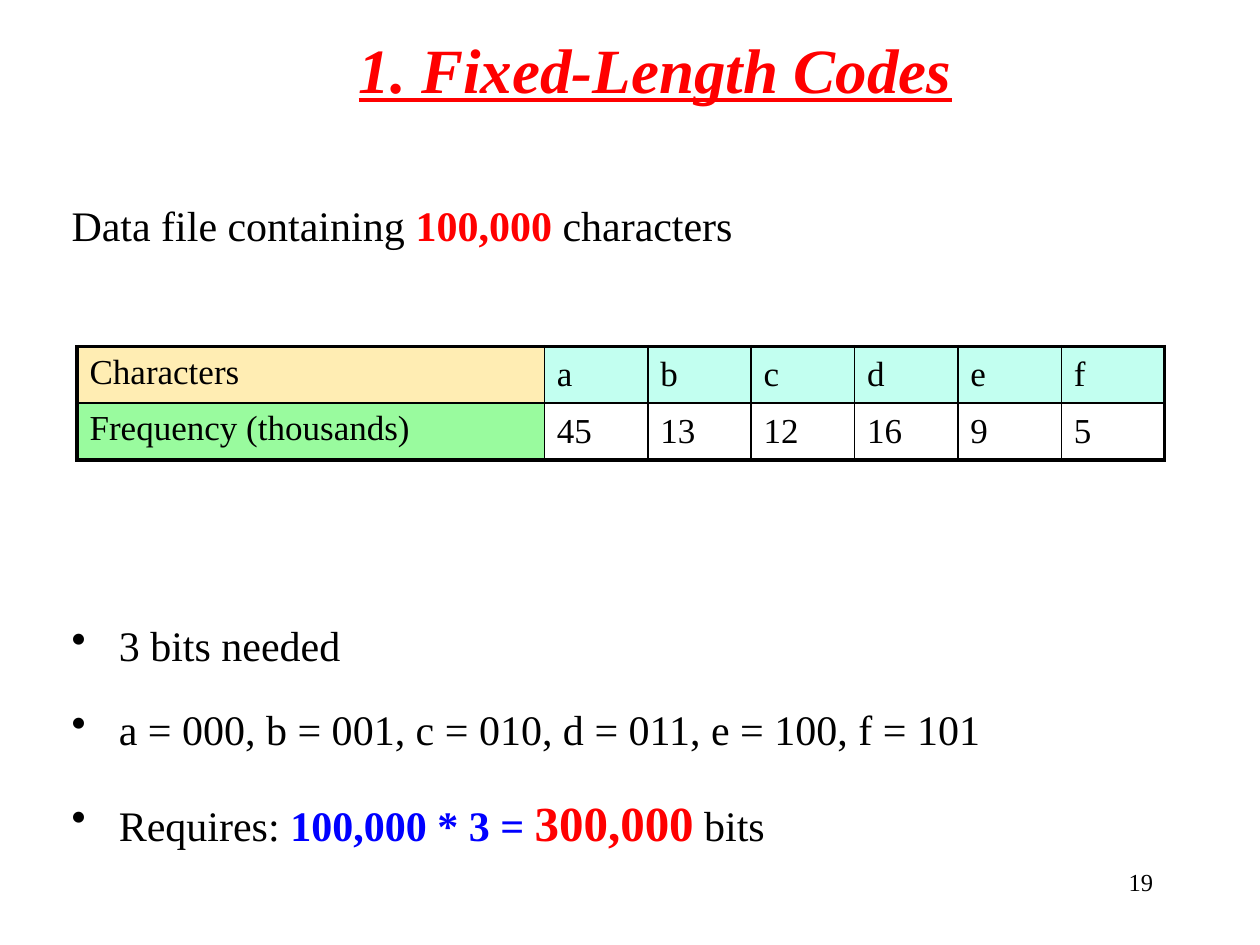
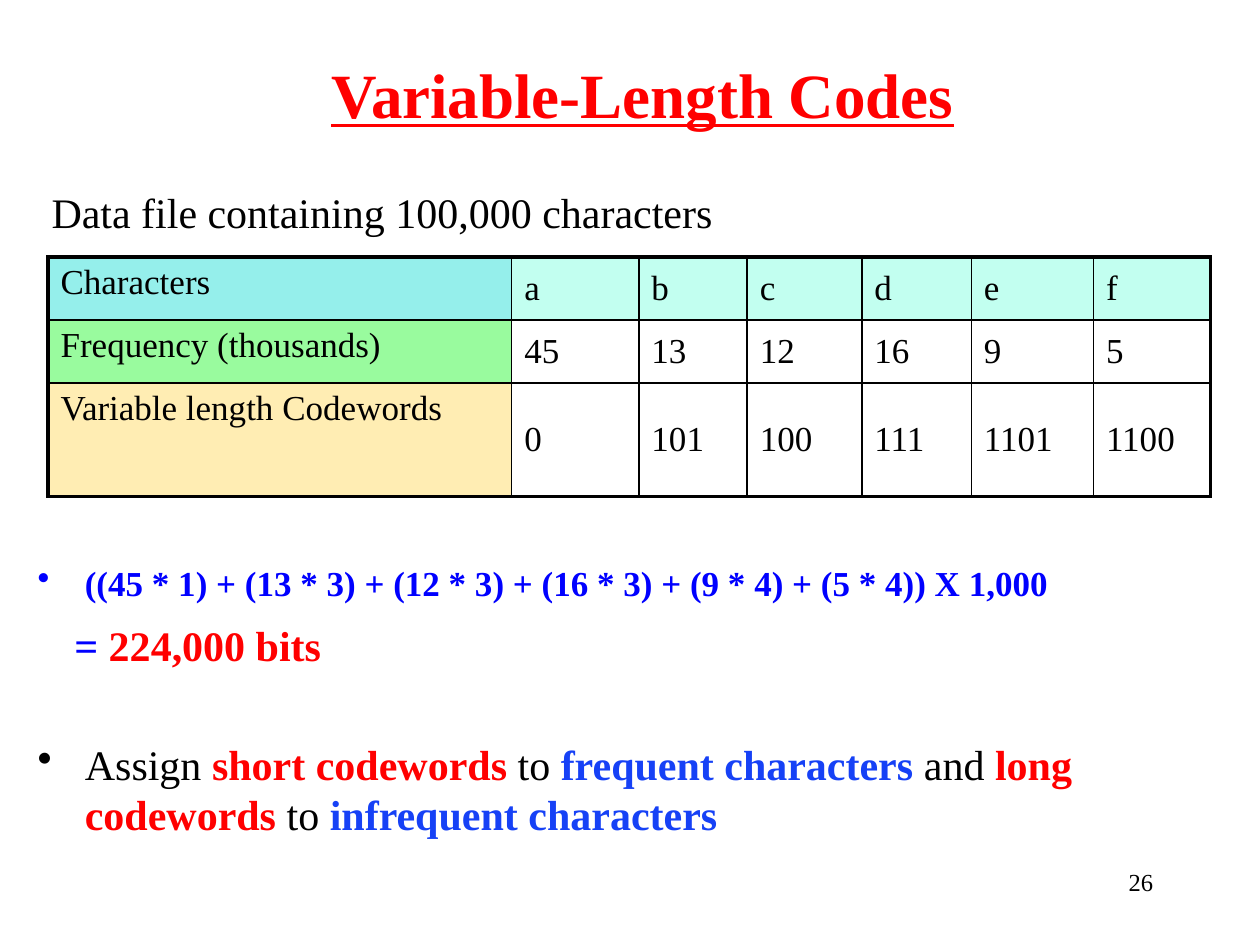
from lxml import etree
from pptx import Presentation
from pptx.dml.color import RGBColor
from pptx.enum import text as t
from pptx.oxml import ns
from pptx.util import Pt

FONT = "Times New Roman"
BLACK, RED, BLUE, ROYAL = "000000", "FF0000", "0000FF", "1641F6"
AQUA, TURQUOISE, GREEN, CREAM = "C2FFF0", "95EFEB", "99FB9E", "FFEDB3"
THICK, THIN = 2.25, 1
HANG = 27  # bullet indent


def rgb(value):
    return RGBColor.from_string(value)


def add_xml(parent, tag, **attrs):
    return etree.SubElement(parent, ns.qn(tag), attrs)


def run(words, color=BLACK, size=24, bold=False):
    return words, color, size, bold


class Deck:
    def __init__(self):
        self.prs = Presentation()
        self.prs.slide_width, self.prs.slide_height = Pt(720), Pt(540)
        self.s = None

    def style(self, r, color=BLACK, size=24, bold=False):
        r.font.name, r.font.size = FONT, Pt(size)
        r.font.bold, r.font.color.rgb = bold, rgb(color)

    def place(self, sp, left, top, width, height):
        sp.left, sp.top = Pt(left), Pt(top)
        sp.width, sp.height = Pt(width), Pt(height)

    def slide(self, title, left, height, italic=False):
        self.s = self.prs.slides.add_slide(self.prs.slide_layouts[5])
        sp = self.s.shapes.title
        self.place(sp, left, 0, 583.2, height)
        tf = sp.text_frame
        tf.text = title
        tf.auto_size = t.MSO_AUTO_SIZE.NONE
        tf.vertical_anchor = t.MSO_ANCHOR.MIDDLE
        p = tf.paragraphs[0]
        p.alignment = t.PP_ALIGN.CENTER
        r = p.runs[0]
        self.style(r, RED, 36, True)
        r.font.italic, r.font.underline = italic, True

    def textbox(self, left, top, width, height):
        sp = self.s.shapes.add_textbox(*map(Pt, (left, top, width, height)))
        sp.text_frame.word_wrap = True
        return sp.text_frame

    def body(self, box, paragraphs, spacing=1.0, margin_top=3.6):
        """Each paragraph: space before, left indent, bullet colour, runs."""
        tf = self.textbox(*box)
        tf.margin_top = Pt(margin_top)
        for i, (before, left, bullet, runs) in enumerate(paragraphs):
            p = tf.add_paragraph() if i else tf.paragraphs[0]
            p.line_spacing, p.space_before = spacing, Pt(before)
            for words, *look in runs:
                r = p.add_run()
                r.text = words
                self.style(r, *look)
            pPr = p._p.get_or_add_pPr()
            pPr.set("marL", str(Pt(left)))
            if bullet:
                pPr.set("indent", str(-Pt(left)))
                add_xml(add_xml(pPr, "a:buClr"), "a:srgbClr", val=bullet)
                add_xml(pPr, "a:buChar", char="•")

    def borders(self, cell, **widths):
        tcPr = cell._tc.get_or_add_tcPr()
        for i, (side, width) in enumerate(widths.items()):
            ln = etree.Element(ns.qn(f"a:ln{side}"), w=str(Pt(width)))
            add_xml(add_xml(ln, "a:solidFill"), "a:srgbClr", val=BLACK)
            tcPr.insert(i, ln)  # borders come before the fill

    def table(self, left, top, widths, heights, rows, label_fills):
        last_row, last_col = len(rows) - 1, len(widths) - 1
        frame = self.s.shapes.add_table(
            len(rows), len(widths), Pt(left), Pt(top), Pt(sum(widths)), Pt(sum(heights)))
        tbl = frame.table
        tbl.first_row = tbl.horz_banding = False
        for col, width in zip(tbl.columns, widths):
            col.width = Pt(width)
        for row, height in zip(tbl.rows, heights):
            row.height = Pt(height)
        for i, words in enumerate(rows):
            for j, word in enumerate(words):
                cell = tbl.cell(i, j)
                cell.text = word
                self.style(cell.text_frame.paragraphs[0].runs[0], size=20)
                fill = label_fills[i] if j == 0 else AQUA if i == 0 else None
                if fill:
                    cell.fill.solid()
                    cell.fill.fore_color.rgb = rgb(fill)
                else:
                    cell.fill.background()
                if j:
                    cell.vertical_anchor = t.MSO_ANCHOR.MIDDLE
                self.borders(cell, L=THIN if j else THICK,
                             R=THICK if j == last_col else THIN,
                             T=THIN if i else THICK,
                             B=THICK if i == last_row else THIN)

    def number(self, value):
        tf = self.textbox(516.2, 491.8, 149.8, 36)
        tf.text = str(value)
        p = tf.paragraphs[0]
        p.alignment = t.PP_ALIGN.RIGHT
        self.style(p.runs[0], size=14)


CHARACTERS = ["Characters", *"abcdef"]
FREQUENCIES = ["Frequency (thousands)", "45", "13", "12", "16", "9", "5"]
CODEWORDS = ["Variable length Codewords", "0", "101", "100", "111", "1101", "1100"]


def fixed_length(deck):
    deck.slide("1. Fixed-Length Codes", 82.8, 77.8, italic=True)
    deck.body((33.8, 95.8, 682.6, 425.5), [
        (0, 0, None, [run("Data file containing "), run("100,000 ", RED, bold=True),
                      run("characters")]),
        (196.8, HANG, BLACK, [run("3 bits needed")]),
        (4.8, HANG, BLACK, [run("a = 000, b = 001, c = 010, d = 011, e = 100, f = 101")]),
        (5.6, HANG, BLACK, [run("Requires: "), run("100,000 * 3 = ", BLUE, bold=True),
                            run("300,000", RED, 28, True), run(" bits")]),
    ], spacing=1.5)
    deck.number(19)
    deck.table(44, 198, [267.1] + [59.1] * 6, [32.4] * 2,
               [CHARACTERS, FREQUENCIES], [CREAM, GREEN])


def variable_length(deck):
    deck.slide("Variable-Length Codes", 75.6, 106.6)
    deck.body((14.4, 95.8, 705.6, 420.5), [
        (0, 8, None, [run("Data file containing 100,000 characters")]),
        (185, HANG, BLUE, [run("((45 * 1) + (13 * 3) + (12 * 3) + (16 * 3) + (9 * 4)"
                               " + (5 * 4)) X 1,000", BLUE, 20, True)]),
        (9.3, 21, None, [run("= ", BLUE, bold=True), run("224,000 bits", RED, bold=True)]),
        (39.3, HANG, BLACK, [
            run("Assign "), run("short codewords ", RED, bold=True),
            run("to "), run("frequent characters ", ROYAL, bold=True),
            run("and "), run("long codewords ", RED, bold=True),
            run("to "), run("infrequent characters", ROYAL, bold=True)]),
    ], margin_top=11)
    deck.number(26)
    deck.table(27.4, 146.9, [265, 72.7, 61.9, 65.5, 62.6, 69.8, 67], [36, 36, 64.8],
               [CHARACTERS, FREQUENCIES, CODEWORDS], [TURQUOISE, GREEN, CREAM])


def main():
    deck = Deck()
    fixed_length(deck)
    variable_length(deck)
    deck.prs.save("out.pptx")


if __name__ == "__main__":
    main()
